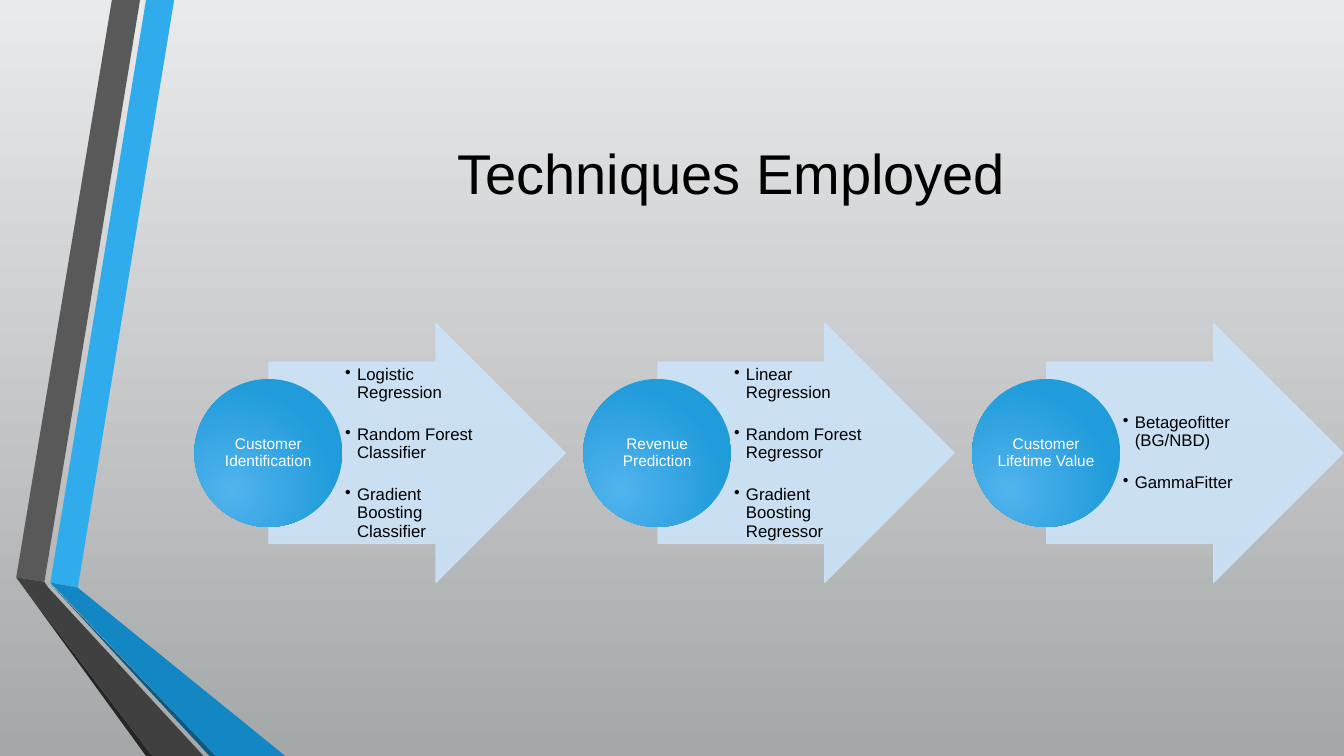
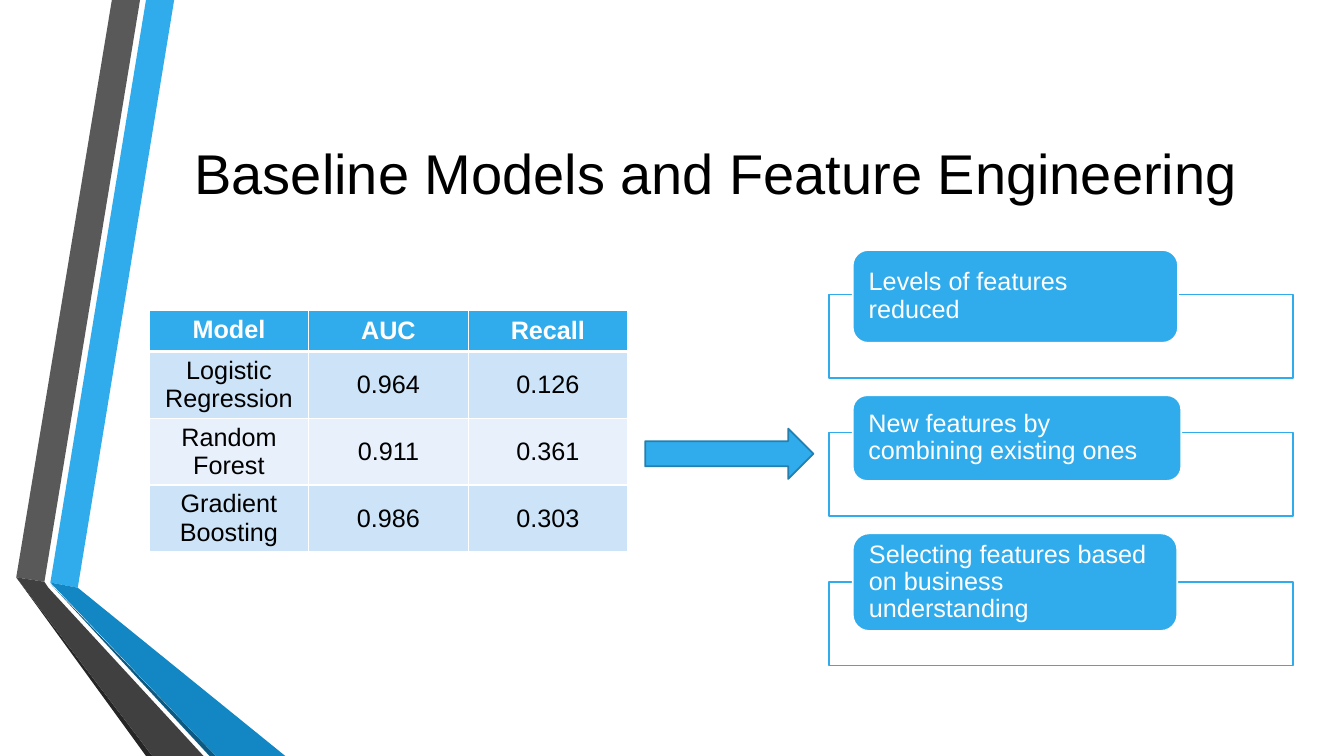
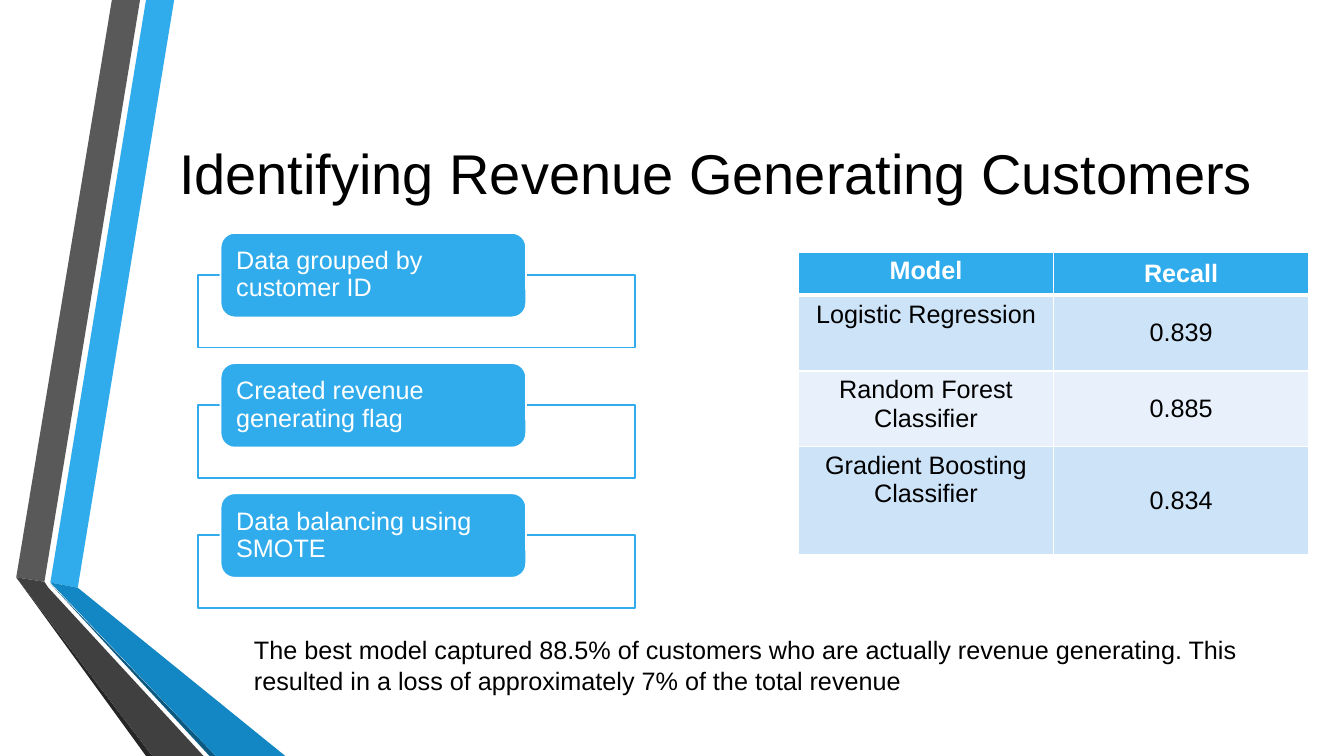
from lxml.etree import SubElement
from pptx import Presentation
from pptx.dml.color import RGBColor
from pptx.enum.shapes import MSO_SHAPE
from pptx.enum.text import MSO_ANCHOR, PP_ALIGN
from pptx.oxml.ns import qn
from pptx.util import Cm, Pt

FONT = "Arial"
BLACK = RGBColor(0x00, 0x00, 0x00)
WHITE = RGBColor(0xFF, 0xFF, 0xFF)
SKY = RGBColor(0x30, 0xAC, 0xEC)
SKY_EDGE = RGBColor(0x24, 0x7F, 0xAF)
OCEAN = RGBColor(0x12, 0x87, 0xC3)
NAVY = RGBColor(0x0C, 0x5A, 0x82)
GREY = RGBColor(0x59, 0x59, 0x59)
CHARCOAL = RGBColor(0x40, 0x40, 0x40)
SOOT = RGBColor(0x26, 0x26, 0x26)
PALE = RGBColor(0xCD, 0xE3, 0xF8)
PALER = RGBColor(0xE8, 0xF1, 0xFB)
GLOW = RGBColor(0x51, 0xB3, 0xED)
GLOW_EDGE = RGBColor(0x21, 0x9C, 0xDB)
MIST = RGBColor(0xE9, 0xEA, 0xEB)
STONE = RGBColor(0xA5, 0xA8, 0xA9)


def paint(shape, fill=None, line=None, width=1.25):
    shape.shadow.inherit = False
    if fill is None:
        shape.fill.background()
    else:
        shape.fill.solid()
        shape.fill.fore_color.rgb = fill
    if line is None:
        shape.line.fill.background()
    else:
        shape.line.color.rgb = line
        shape.line.width = Pt(width)


def style_text(frame, size, color, align=PP_ALIGN.LEFT, spacing=None, inset=None, bold=False):
    frame.word_wrap = True
    if inset is not None:
        frame.margin_left = frame.margin_right = Cm(inset)
        frame.margin_top = frame.margin_bottom = Cm(0)
    for paragraph in frame.paragraphs:
        paragraph.alignment = align
        paragraph.line_spacing = spacing
        for run in paragraph.runs:
            run.font.name = FONT
            run.font.size = Pt(size)
            run.font.bold = bold
            run.font.color.rgb = color


prs = Presentation()
prs.slide_width = Cm(33.87)
prs.slide_height = Cm(19.05)
layout = prs.slide_layouts[5]

titles = [
    ("Techniques Employed", 4.9, 27.05),
    ("Baseline Models and Feature Engineering", 4.11, 27.84),
    ("Identifying Revenue Generating Customers", 4.11, 27.84),
]
slides = []
for heading, left, width in titles:
    slide = prs.slides.add_slide(layout)
    title = slide.shapes.title
    title.left, title.top, title.width, title.height = Cm(left), Cm(1.9), Cm(width), Cm(4.88)
    title.text_frame.text = heading
    title.text_frame.vertical_anchor = MSO_ANCHOR.MIDDLE
    style_text(title.text_frame, 40, BLACK, PP_ALIGN.CENTER)
    slides.append(slide)
techniques, baseline, customers = slides

ribbons = [
    (SKY, [(1.27, 14.68), (1.96, 14.81), (4.39, 0), (3.68, 0)]),
    (GREY, [(3.53, 0), (2.82, 0), (0.41, 14.55), (1.12, 14.66)]),
    (SOOT, [(0.41, 14.55), (3.68, 19.05), (3.84, 19.05)]),
    (NAVY, [(1.27, 14.71), (5.28, 19.05), (5.44, 19.05)]),
    (OCEAN, [(1.27, 14.68), (5.44, 19.05), (7.19, 19.05), (1.96, 14.81)]),
    (CHARCOAL, [(5.13, 19.05), (1.22, 14.81), (1.12, 14.66), (0.41, 14.55), (3.84, 19.05)]),
]
for position, (color, corners) in enumerate(ribbons, start=2):
    points = [(Cm(x), Cm(y)) for x, y in corners]
    outline = techniques.shapes.build_freeform(*points[0])
    outline.add_line_segments(points[1:], close=True)
    ribbon = outline.convert_to_shape()
    paint(ribbon, color)
    layout.shapes.element.insert(position, ribbon.element)

backdrop = techniques.background.fill
backdrop.gradient()
backdrop.gradient_angle = 270
for stop, color in zip(backdrop.gradient_stops, (MIST, STONE)):
    stop.color.rgb = color

stages = [
    ("Customer Identification",
     ["Logistic Regression", "Random Forest Classifier", "Gradient Boosting Classifier"]),
    ("Revenue Prediction",
     ["Linear Regression", "Random Forest Regressor", "Gradient Boosting Regressor"]),
    ("Customer Lifetime Value", ["Betageofitter (BG/NBD)", "GammaFitter"]),
]
for index, (stage, methods) in enumerate(stages):
    left = 4.9 + 9.8 * index
    arrow = techniques.shapes.add_shape(
        MSO_SHAPE.RIGHT_ARROW, Cm(left + 1.88), Cm(8.15), Cm(7.47), Cm(6.53))
    arrow.adjustments[0] = 0.7
    arrow.adjustments[1] = 0.5
    paint(arrow, PALE, PALE, 0.75)
    for tint in list(arrow.element.spPr.iter(qn("a:srgbClr"))):
        SubElement(tint, qn("a:alpha"), val="90000")

    method_list = techniques.shapes.add_textbox(
        Cm(left + 3.74), Cm(9.14), Cm(3.63), Cm(4.57)).text_frame
    method_list.text = "\n".join(methods)
    method_list.vertical_anchor = MSO_ANCHOR.MIDDLE
    style_text(method_list, 12, BLACK, spacing=0.9, inset=0.06)
    for order, paragraph in enumerate(method_list.paragraphs):
        paragraph.space_before = Pt(17 if order else 0)
        properties = paragraph._p.get_or_add_pPr()
        properties.set("marL", str(Cm(0.3)))
        properties.set("indent", str(-Cm(0.3)))
        SubElement(properties, qn("a:buChar"), char="•")

    circle = techniques.shapes.add_shape(
        MSO_SHAPE.OVAL, Cm(left), Cm(9.55), Cm(3.73), Cm(3.73))
    paint(circle)
    circle.fill.gradient()
    for stop, color in zip(circle.fill.gradient_stops, (GLOW, GLOW_EDGE)):
        stop.color.rgb = color
    gradient = circle.element.spPr.find(qn("a:gradFill"))
    gradient.remove(gradient.find(qn("a:lin")))
    radial = SubElement(gradient, qn("a:path"), {"path": "circle"})
    SubElement(radial, qn("a:fillToRect"), l="50000", t="100000", r="100000", b="50000")
    circle.text_frame.text = stage
    circle.text_frame.vertical_anchor = MSO_ANCHOR.MIDDLE
    style_text(circle.text_frame, 11, WHITE, PP_ALIGN.CENTER, 0.9, 0.03)

score_tables = [
    (baseline, 3.76, 7.82, 4.02, [1.04, 1.68, 1.68, 1.68], [
        ["Model", "AUC", "Recall"],
        ["Logistic Regression", "0.964", "0.126"],
        ["Random Forest", "0.911", "0.361"],
        ["Gradient Boosting", "0.986", "0.303"],
    ]),
    (customers, 20.12, 6.35, 6.43, [1.09, 1.91, 1.91, 2.72], [
        ["Model", "Recall"],
        ["Logistic Regression", "0.839"],
        ["Random Forest Classifier", "0.885"],
        ["Gradient Boosting Classifier", "0.834"],
    ]),
]
for slide, left, top, column_width, heights, rows in score_tables:
    columns = len(rows[0])
    scores = slide.shapes.add_table(
        len(rows), columns, Cm(left), Cm(top),
        Cm(column_width * columns), Cm(sum(heights))).table
    for column in scores.columns:
        column.width = Cm(column_width)
    for r, values in enumerate(rows):
        scores.rows[r].height = Cm(heights[r])
        header = r == 0
        for c, value in enumerate(values):
            cell = scores.cell(r, c)
            cell.text_frame.text = value
            cell.vertical_anchor = MSO_ANCHOR.MIDDLE if c else MSO_ANCHOR.TOP
            style_text(cell.text_frame, 18, WHITE if header else BLACK,
                       PP_ALIGN.CENTER, bold=header)
            borders = {"a:lnL": 1, "a:lnR": 1, "a:lnT": 3 if r == 1 else 1,
                       "a:lnB": 3 if header else 1}
            for side, weight in borders.items():
                border = SubElement(cell._tc.get_or_add_tcPr(), qn(side), w=str(Pt(weight)))
                SubElement(SubElement(border, qn("a:solidFill")), qn("a:srgbClr"), val=str(WHITE))
            cell.fill.solid()
            cell.fill.fore_color.rgb = SKY if header else (PALER, PALE)[r % 2]

feature_steps = [
    ("Levels of features reduced", 7.42, 6.3, 8.2, 2.34),
    ("New features by combining existing ones", 10.9, 9.96, 8.28, 2.16),
    ("Selecting features based on business understanding", 14.66, 13.44, 8.18, 2.46),
]
customer_steps = [
    (step, 6.93 + 3.28 * i, 5.87 + 3.28 * i, 7.7, 2.13)
    for i, step in enumerate([
        "Data grouped by customer ID",
        "Created revenue generating flag",
        "Data balancing using SMOTE",
    ])
]
for slide, left, frame_width, frame_height, indent, steps in [
    (baseline, 20.9, 11.68, 2.11, 0.59, feature_steps),
    (customers, 5, 11, 1.83, 0.56, customer_steps),
]:
    for step, frame_top, label_top, label_width, label_height in steps:
        frame = slide.shapes.add_shape(
            MSO_SHAPE.RECTANGLE, Cm(left), Cm(frame_top), Cm(frame_width), Cm(frame_height))
        paint(frame, line=SKY)
        label = slide.shapes.add_shape(
            MSO_SHAPE.ROUNDED_RECTANGLE, Cm(left + indent), Cm(label_top),
            Cm(label_width), Cm(label_height))
        paint(label, SKY, WHITE)
        label.text_frame.text = step
        label.text_frame.vertical_anchor = MSO_ANCHOR.MIDDLE
        style_text(label.text_frame, 18, WHITE, spacing=0.9, inset=0.29)

next_step = baseline.shapes.add_shape(
    MSO_SHAPE.RIGHT_ARROW, Cm(16.26), Cm(10.8), Cm(4.24), Cm(1.27))
paint(next_step, SKY, SKY_EDGE)

conclusion = customers.shapes.add_textbox(Cm(6.15), Cm(15.37), Cm(26.47), Cm(2.77)).text_frame
conclusion.text = (
    "The best model captured 88.5% of customers who are actually revenue generating. "
    "This resulted in a loss of approximately 7% of the total revenue")
conclusion.vertical_anchor = MSO_ANCHOR.MIDDLE
style_text(conclusion, 18, BLACK)

prs.save("out.pptx")
